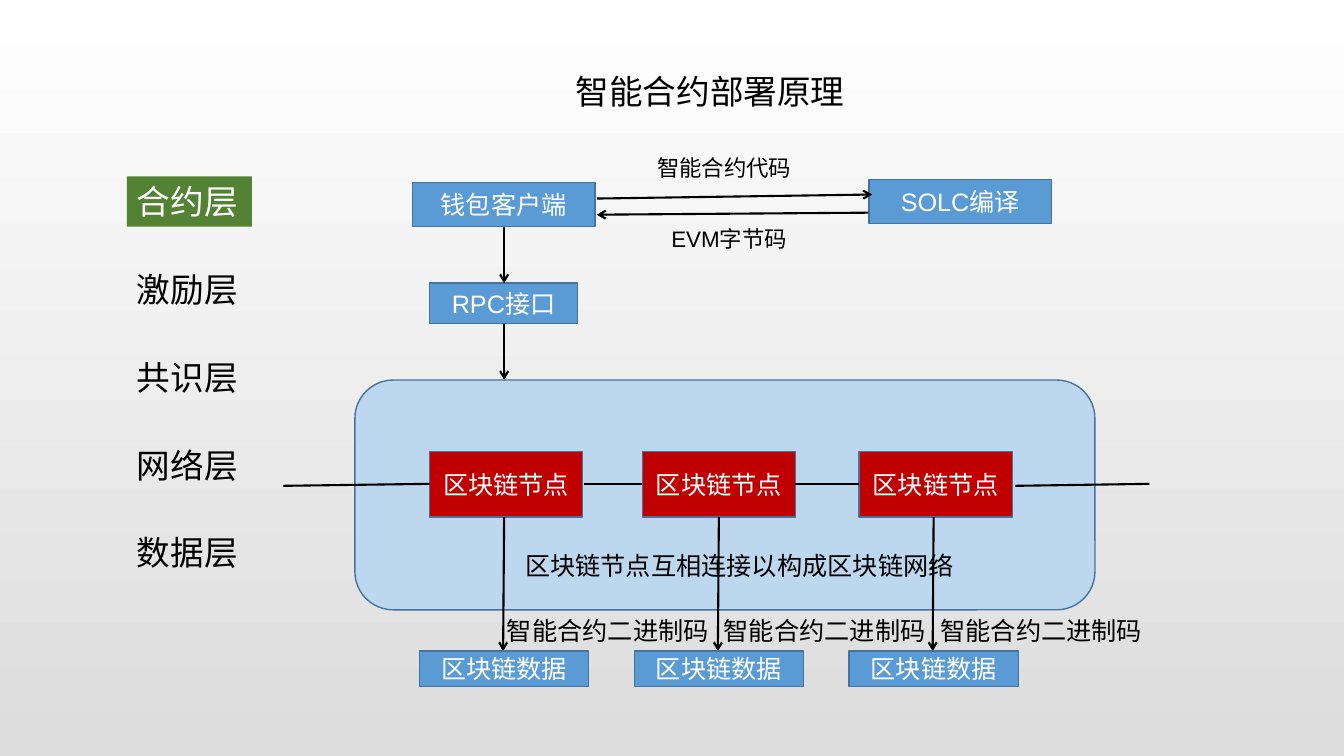
"""Build the slide on how smart contracts are deployed."""
from lxml import etree
from pptx import Presentation
from pptx import util as u
from pptx.dml.color import RGBColor
from pptx.enum import shapes, text
from pptx.oxml import ns

WHITE = RGBColor(0xFF, 0xFF, 0xFF)
GREY = RGBColor(0xDC, 0xDC, 0xDC)
BLACK = RGBColor(0, 0, 0)
GREEN = RGBColor(0x54, 0x82, 0x35)
BLUE = RGBColor(0x5B, 0x9B, 0xD5)
PALE_BLUE = RGBColor(0xBD, 0xD7, 0xEE)
EDGE = RGBColor(0x43, 0x73, 0x9E)
RED = RGBColor(0xC0, 0, 0)
RECT = shapes.MSO_SHAPE.RECTANGLE
ROUNDED = shapes.MSO_SHAPE.ROUNDED_RECTANGLE

prs = Presentation()
prs.slide_width, prs.slide_height = u.Inches(13.33), u.Inches(7.5)
s = prs.slides.add_slide(prs.slide_layouts[5])
bg = s.background.fill
bg.gradient()
bg.gradient_angle = 270
for stop, color, position in zip(bg.gradient_stops, (WHITE, GREY), (0, 1)):
    stop.color.rgb, stop.position = color, position


def add_box(words, left, top, width, height, size=18, fill=None, edge=None, kind=RECT, sp=None):
    """Add a box, or fill a given one; edged boxes centre their text."""
    at = [u.Inches(v) for v in (left, top, width, height)]
    if sp is not None:
        sp.left, sp.top, sp.width, sp.height = at
    elif fill is None:
        sp = s.shapes.add_textbox(*at)
    else:
        sp = s.shapes.add_shape(kind, *at)
        sp.shadow.inherit = False
        sp.fill.solid()
        sp.fill.fore_color.rgb = fill
        if edge is None:
            sp.line.fill.background()
        else:
            sp.line.color.rgb, sp.line.width = edge, u.Pt(1)
    tf = sp.text_frame
    tf.word_wrap = True
    tf.vertical_anchor = text.MSO_ANCHOR.MIDDLE if edge else text.MSO_ANCHOR.TOP
    p = tf.paragraphs[0]
    p.alignment = text.PP_ALIGN.CENTER if edge else text.PP_ALIGN.LEFT
    if words:
        r = p.add_run()
        r.text = words
        r.font.name, r.font.size = "Arial", u.Pt(size)
        r.font.color.rgb = WHITE if fill else BLACK


def add_line(x1, y1, x2, y2, arrow=True):
    """Add a black line, with an arrowhead at its end if wanted."""
    cx = s.shapes.add_connector(shapes.MSO_CONNECTOR.STRAIGHT, *[u.Inches(v) for v in (x1, y1, x2, y2)])
    cx.line.color.rgb, cx.line.width = BLACK, u.Pt(1.5)
    if arrow:
        etree.SubElement(cx.line._get_or_add_ln(), ns.qn("a:tailEnd"), type="arrow")
    etree.SubElement(cx._element.spPr, ns.qn("a:effectLst"))


add_box("智能合约部署原理", 5.61, 0.65, 3.34, 0.5, 24, sp=s.shapes.title)

for i, layer in enumerate(("合约层", "激励层", "共识层", "网络层", "数据层")):
    add_box(layer, 1.26, 1.75 + 0.87 * i, 1.24, 0.5, 24, fill=None if i else GREEN)

add_box("钱包客户端", 4.09, 1.81, 1.81, 0.44, fill=BLUE, edge=EDGE)
add_box("SOLC编译", 8.62, 1.78, 1.81, 0.44, fill=BLUE, edge=EDGE)
add_box("RPC接口", 4.26, 2.81, 1.47, 0.4, fill=BLUE, edge=EDGE)
add_box("智能合约代码", 6.42, 1.48, 1.84, 0.37, 16)
add_box("EVM字节码", 6.56, 2.18, 1.64, 0.37, 16)
add_line(5.92, 1.97, 8.65, 1.93)
add_line(8.61, 2.11, 5.92, 2.13)
for top in (2.25, 3.21):
    add_line(5, top, 5, top + 0.56)

add_box("", 3.52, 3.77, 7.34, 2.28, fill=PALE_BLUE, edge=EDGE, kind=ROUNDED)
for i, node_left in enumerate((4.26, 6.37, 8.52)):
    data_x = 5 + 2.13 * i
    add_box("区块链节点", node_left, 4.48, 1.52, 0.65, fill=RED, edge=EDGE)
    add_line(data_x, 5.13, data_x - 0.01, 6.46)
    add_box("区块链数据", data_x - 0.84, 6.46, 1.68, 0.35, fill=BLUE, edge=EDGE)
    add_box("智能合约二进制码", 4.93 + 2.15 * i, 6.06, 2.29, 0.4)
add_box("区块链节点互相连接以构成区块链网络", 5.11, 5.41, 4.48, 0.4)

for x1, y1, x2 in ((2.81, 4.82, 4.26), (5.79, 4.8, 6.37), (7.89, 4.8, 8.52), (10.07, 4.82, 11.4)):
    add_line(x1, y1, x2, 4.8, arrow=False)

prs.save("out.pptx")
